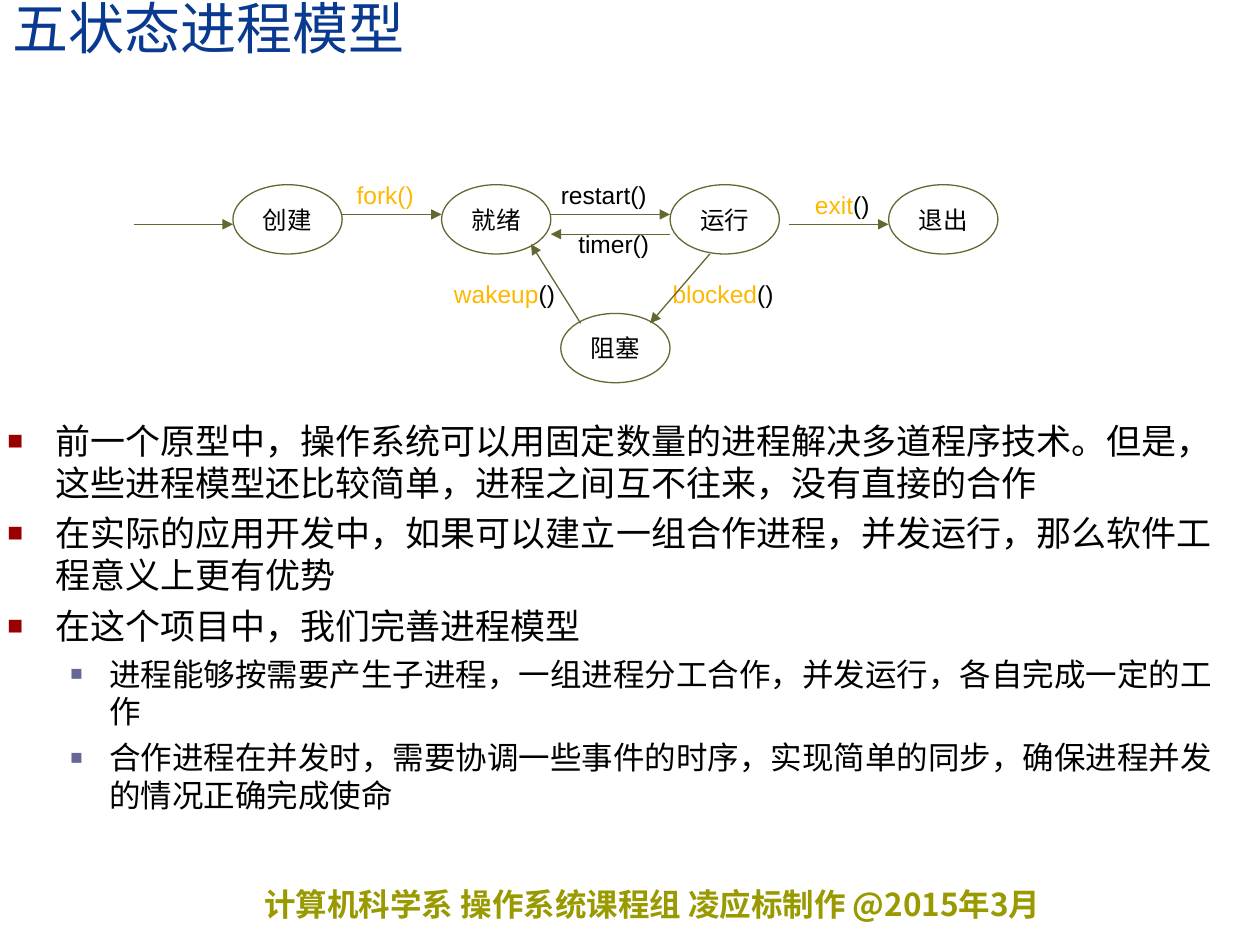
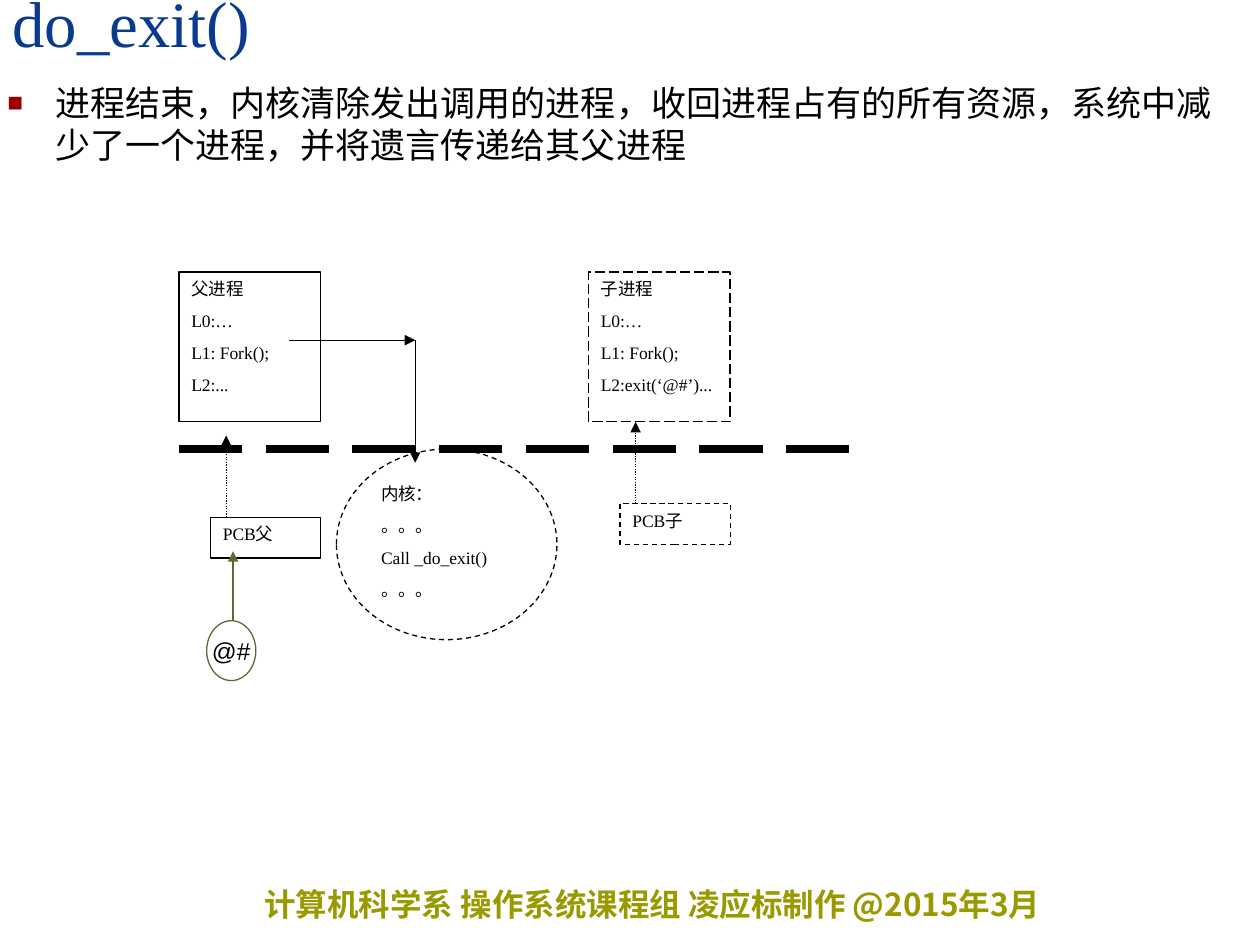
import dataclasses

import lxml.etree
import pptx
import pptx.dml.color
import pptx.enum.dml
import pptx.enum.shapes
import pptx.enum.text
import pptx.oxml.ns
import pptx.util

WIDE, HIGH = 10, 7.5
ALIGN = pptx.enum.text.PP_ALIGN
ANCHOR = pptx.enum.text.MSO_ANCHOR
DASH = pptx.enum.dml.MSO_LINE
FORM = pptx.enum.shapes.MSO_SHAPE
LINK = pptx.enum.shapes.MSO_CONNECTOR


@dataclasses.dataclass(frozen=True)
class Theme:
    blue: str = "0A3A90"
    black: str = "000000"
    white: str = "FFFFFF"
    gold: str = "FFB800"
    olive: str = "666633"
    foot: str = "999900"
    red: str = "990000"
    mauve: str = "666699"
    sans: str = "Arial"
    serif: str = "Times New Roman"
    han: str = "Noto Sans CJK SC"
    head: int = 32
    code: int = 37
    body: int = 20
    sub: int = 18
    node: int = 14
    small: int = 10
    thin: float = 0.75
    thick: float = 4.5


T = Theme()
# Bullet levels: text size, space before, left margin, hang, colour, bullet percent
LEVELS = [(T.body, 5, 0.38, 0.38, T.red, 75),
          (T.sub, 4.5, 0.81, 0.31, T.mauve, 65)]


@dataclasses.dataclass(frozen=True)
class Box:
    """A region given in shares of the slide, cut into columns and rows."""
    x: float
    y: float
    w: float
    h: float
    cols: int = 1
    rows: int = 1

    def size(self, col, row):
        return (pptx.util.Inches(self.w * WIDE * col / self.cols),
                pptx.util.Inches(self.h * HIGH * row / self.rows))

    def spot(self, col, row):
        left, top = self.size(col, row)
        return (left + pptx.util.Inches(self.x * WIDE),
                top + pptx.util.Inches(self.y * HIGH))

    def area(self, col=0, row=0, wide=None, high=None):
        return (*self.spot(col, row),
                *self.size(wide or self.cols, high or self.rows))


HEAD = Box(0, 0, 1, 0.07)
FOOT = Box(0.2, 0.93, 0.75, 0.05)
NOTES = Box(-0.004, 0.437, 1, 0.475)
INTRO = Box(-0.004, 0.08, 1, 0.832)
STATES = Box(0.106, 0.185, 0.686, 0.22, 87, 21)
KERNEL = Box(0.142, 0.288, 0.55, 0.389, 44, 27)


def rgb(code):
    return pptx.dml.color.RGBColor.from_string(code)


def node(parent, tag, **attrs):
    return lxml.etree.SubElement(parent, pptx.oxml.ns.qn(tag), attrs)


def write(frame, text, size=T.node, color=T.black, font=T.sans, bold=False,
          align=ALIGN.LEFT, before=0, lead=None):
    """Add one paragraph; text is a string or a list of (string, colour)."""
    para = frame.paragraphs[0]
    if para.runs:
        para = frame.add_paragraph()
    para.alignment = align
    para.space_before = pptx.util.Pt(before)
    if lead:
        para.line_spacing = lead
    for part, tint in [(text, color)] if isinstance(text, str) else text:
        run = para.add_run()
        run.text = part
        run.font.size = pptx.util.Pt(size)
        run.font.bold = bold
        run.font.name = font
        run.font.color.rgb = rgb(tint)
        node(run.font._element, "a:ea", typeface=T.han)
    return para


def stroke(line, color, width, dash=None):
    line.color.rgb = rgb(color)
    line.width = pptx.util.Pt(width)
    if dash:
        line.dash_style = dash


def shape(slide, form, area, color, fill=None, dash=None):
    item = slide.shapes.add_shape(form, *area)
    item.shadow.inherit = False
    if fill:
        item.fill.solid()
        item.fill.fore_color.rgb = rgb(fill)
    else:
        item.fill.background()
    stroke(item.line, color, T.thin, dash)
    return item


def mark(slide, form, area, text, color=T.olive):
    """Outline with one centred, unwrapped line of text."""
    frame = shape(slide, form, area, color).text_frame
    frame.word_wrap = False
    frame.vertical_anchor = ANCHOR.MIDDLE
    write(frame, text, align=ALIGN.CENTER, before=8.8)


def panel(slide, form, area, lines, dash=None):
    """White block with lines of small text set from its top."""
    frame = shape(slide, form, area, T.black, T.white, dash).text_frame
    frame.word_wrap = True
    frame.vertical_anchor = ANCHOR.TOP
    for line in lines:
        write(frame, line, size=T.small, font=T.serif,
              align=ALIGN.JUSTIFY, before=6.2)


def link(slide, box, start, end, color=T.olive, width=T.thin, dash=None,
         arrow=True):
    item = slide.shapes.add_connector(
        LINK.STRAIGHT, *box.spot(*start), *box.spot(*end))
    stroke(item.line, color, width, dash)
    if arrow:
        node(item.get_or_add_ln(), "a:tailEnd", type="triangle")
    node(item._element.spPr, "a:effectLst")


def text_box(slide, box):
    frame = slide.shapes.add_textbox(*box.area()).text_frame
    frame.word_wrap = True
    return frame


def base(deck, title, size):
    """Slide with the shared title style and footer."""
    slide = deck.slides.add_slide(deck.slide_layouts[5])
    head = slide.shapes.title
    head.left, head.top, head.width, head.height = HEAD.area()
    frame = head.text_frame
    frame.auto_size = pptx.enum.text.MSO_AUTO_SIZE.NONE
    frame.vertical_anchor = ANCHOR.BOTTOM
    write(frame, title, size=size, color=T.blue, font=T.serif, lead=0.8)
    write(text_box(slide, FOOT), "计算机科学系 操作系统课程组 凌应标制作 @2015年3月",
          size=T.sub, color=T.foot, font=T.han, bold=True, before=11.2)
    return slide


def bullets(slide, box, items):
    frame = text_box(slide, box)
    for level, text in items:
        size, before, left, hang, color, share = LEVELS[level]
        para = write(frame, text, size=size, before=before)
        para.level = level
        props = para._p.get_or_add_pPr()
        props.set("marL", str(pptx.util.Inches(left)))
        props.set("indent", str(-pptx.util.Inches(hang)))
        node(node(props, "a:buClr"), "a:srgbClr", val=color)
        node(props, "a:buSzPct", val=str(share * 1000))
        node(props, "a:buFont", typeface=T.sans)
        node(props, "a:buChar", char="■")


def states(slide, box):
    """Five process states and the calls between them."""
    tail = ("()", T.black)
    calls = [(53, 10, [("blocked", T.gold), tail]),
             (31, 10, [("wakeup", T.gold), tail]),
             (19, 0, [("fork()", T.gold)]),
             (65, 1, [("exit", T.gold), tail]),
             (41, 0, "restart()"),
             (42, 5, "timer()")]
    for col, row, text in calls:
        mark(slide, FORM.RECTANGLE, box.area(col, row, 12.67, 4), text, T.white)
    for col, row, text in [(10, 1, "创建"), (31, 1, "就绪"), (43, 14, "阻塞"),
                           (54, 1, "运行"), (76, 1, "退出")]:
        mark(slide, FORM.OVAL, box.area(col, row, 11, 7), text)
    for start, end in [((21, 4), (31, 4)), ((54, 6), (42, 6)),
                       ((58, 8), (52, 15)), ((42, 4), (54, 4)),
                       ((66, 5), (76, 5)), ((45, 15), (40, 7)),
                       ((0, 5), (10, 5))]:
        link(slide, box, start, end)


def kernel(slide, box):
    """Parent and child above the kernel border, control blocks below."""
    code = ["L0:…", "L1: Fork();"]
    panel(slide, FORM.RECTANGLE, box.area(0, 0, 9, 11),
          ["父进程", *code, "L2:..."])
    link(slide, box, (7, 5), (15, 5), T.black)
    panel(slide, FORM.OVAL, box.area(10, 13, 14, 14),
          ["内核：", "。。。", "Call _do_exit()", "。。。"], DASH.DASH)
    link(slide, box, (0, 13), (44, 13), T.black, T.thick, DASH.LONG_DASH, False)
    link(slide, box, (15, 5), (15, 14), T.black)
    panel(slide, FORM.RECTANGLE, box.area(26, 0, 9, 11),
          ["子进程", *code, "L2:exit(‘@#’)..."], DASH.LONG_DASH)
    # Control blocks, each pointing up to its process
    for col, row, text, dash in [(2, 18, "PCB父", None),
                                 (28, 17, "PCB子", DASH.DASH)]:
        panel(slide, FORM.RECTANGLE, box.area(col, row, 7, 3), [text], dash)
        link(slide, box, (col + 1, row), (col + 1, row - 6), T.black,
             dash=DASH.ROUND_DOT)
    # Exit value handed to the parent
    mark(slide, FORM.OVAL, box.area(1.76, 25.6, 3.12, 4.4), "@#")
    link(slide, box, (3.44, 25.6), (3.44, 20.5))


def main():
    deck = pptx.Presentation()
    deck.slide_width = pptx.util.Inches(WIDE)
    deck.slide_height = pptx.util.Inches(HIGH)

    slide = base(deck, "五状态进程模型", T.head)
    bullets(slide, NOTES, [
        (0, "前一个原型中，操作系统可以用固定数量的进程解决多道程序技术。但是，这些进程模型还比较简单，进程之间互不往来，没有直接的合作"),
        (0, "在实际的应用开发中，如果可以建立一组合作进程，并发运行，那么软件工程意义上更有优势"),
        (0, "在这个项目中，我们完善进程模型"),
        (1, "进程能够按需要产生子进程，一组进程分工合作，并发运行，各自完成一定的工作"),
        (1, "合作进程在并发时，需要协调一些事件的时序，实现简单的同步，确保进程并发的情况正确完成使命")])
    states(slide, STATES)

    slide = base(deck, "do_exit()", T.code)
    bullets(slide, INTRO, [
        (0, "进程结束，内核清除发出调用的进程，收回进程占有的所有资源，系统中减少了一个进程，并将遗言传递给其父进程")])
    kernel(slide, KERNEL)
    deck.save("out.pptx")


if __name__ == "__main__":
    main()
